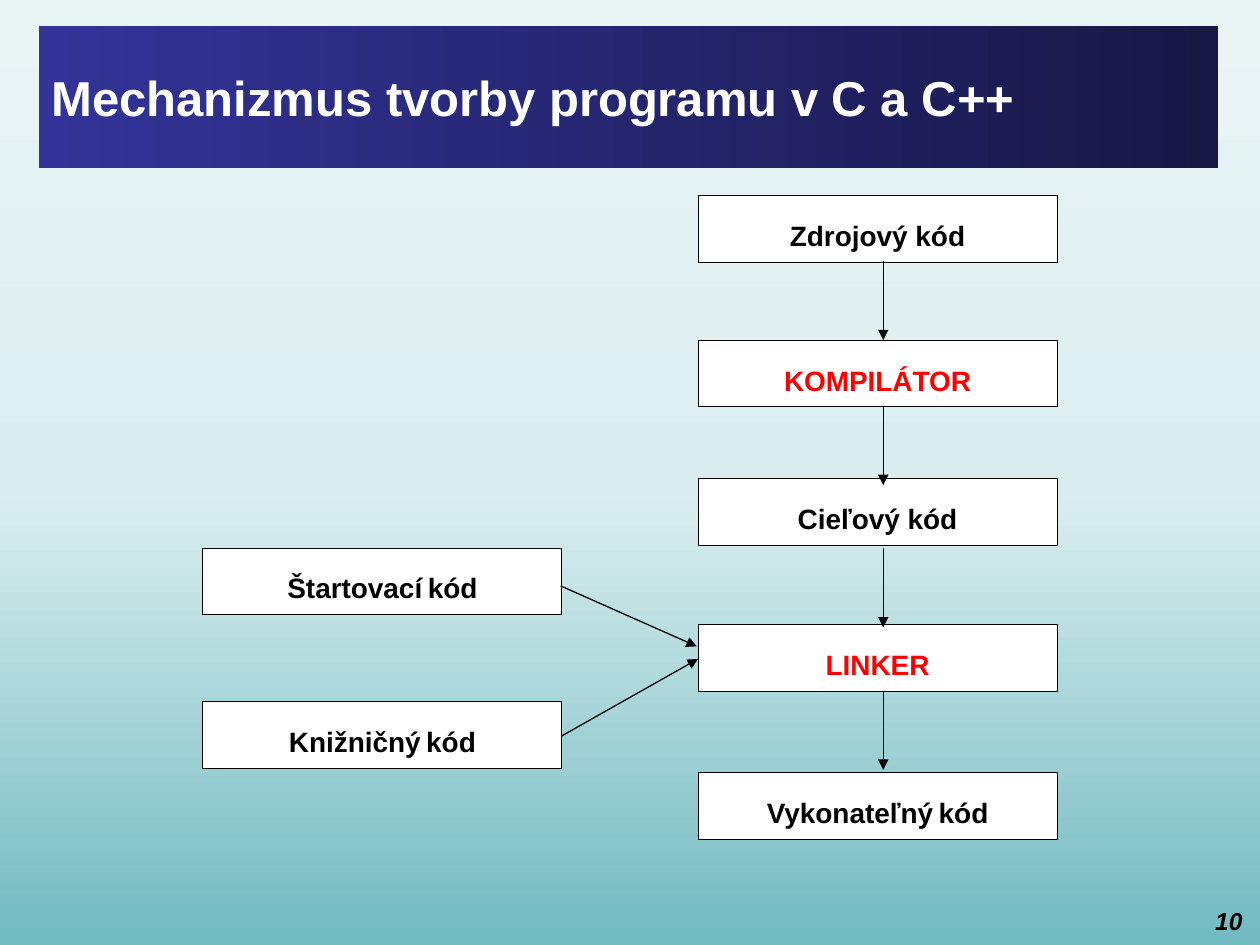
import copy

import pptx
import pptx.dml.color
import pptx.enum.dml
import pptx.enum.shapes
import pptx.enum.text
import pptx.oxml
import pptx.oxml.ns
import pptx.util
from pptx.dml.color import RGBColor
from pptx.util import Inches

WHITE = RGBColor(0xFF, 0xFF, 0xFF)
BLACK = RGBColor(0, 0, 0)
RED = RGBColor(0xFF, 0, 0)
NAVY = RGBColor(0x33, 0x33, 0x99)
DARK = RGBColor(0x17, 0x17, 0x46)
TEAL = RGBColor(0x71, 0xBA, 0xC1)
PALE = RGBColor(0xDB, 0xEE, 0xEF)
LIGHT = RGBColor(0xE9, 0xF4, 0xF5)

ALIGN = pptx.enum.text.PP_ALIGN
ANCHOR = pptx.enum.text.MSO_ANCHOR
WIDTH, HEIGHT = 2.85, 0.53
RIGHT, LEFT, AXIS = 5.54, 1.61, 7.01

BOXES = [
    ("Zdrojový kód", RIGHT, 1.55, BLACK, 16),
    ("KOMPILÁTOR", RIGHT, 2.7, RED, 16),
    ("Cieľový kód", RIGHT, 3.8, BLACK, 16),
    ("LINKER", RIGHT, 4.96, RED, 16),
    ("Vykonateľný kód", RIGHT, 6.13, BLACK, 11),
    ("Štartovací kód", LEFT, 4.35, BLACK, 11),
    ("Knižničný kód", LEFT, 5.57, BLACK, 11),
]
ARROWS = [
    (AXIS, 2.07, AXIS, 2.7),
    (AXIS, 3.23, AXIS, 3.85),
    (AXIS, 4.35, AXIS, 4.98),
    (AXIS, 5.49, AXIS, 6.11),
    (4.45, 4.65, 5.53, 5.13),
    (4.46, 5.84, 5.54, 5.23),
]


def put_text(shape, text, size=16, color=BLACK, align=ALIGN.LEFT,
             anchor=ANCHOR.TOP, italic=False, gap=None, line=None, after=0):
    """Write bold text in a shape; gap is the size of its spaces, if other."""
    frame = shape.text_frame
    frame.word_wrap = True
    frame.vertical_anchor = anchor
    para = frame.paragraphs[0]
    para.alignment = align
    para.line_spacing = line
    para.space_before = pptx.util.Pt(0)
    para.space_after = pptx.util.Pt(after)
    parts = text.partition(" ") if gap and gap != size else [text]
    for part in filter(None, parts):
        run = para.add_run()
        run.text = part
        font = run.font
        font.name = "Arial"
        font.size = pptx.util.Pt(gap if part == " " else size)
        font.bold, font.italic = True, italic
        font.color.rgb = color


def blend(fill, stops, angle):
    """Fill with a linear gradient of (place, colour) stops."""
    fill.gradient()
    fill.gradient_angle = angle
    first = fill.gradient_stops[0]._gs
    for _ in stops[2:]:
        first.addnext(copy.deepcopy(first))
    for stop, (place, color) in zip(fill.gradient_stops, stops):
        stop.position = place
        stop.color.rgb = color


def add_title(slide, text):
    """Format the title as a dark banner."""
    title = slide.shapes.title
    title.left, title.top = Inches(0.31), Inches(0.21)
    title.width, title.height = Inches(9.36), Inches(1.12)
    blend(title.fill, [(0, NAVY), (1, DARK)], 0)
    put_text(title, text, size=28, color=WHITE, anchor=ANCHOR.MIDDLE)


def add_box(slide, text, left, top, color, gap):
    """Add one outlined step of the flow."""
    box = slide.shapes.add_shape(
        pptx.enum.shapes.MSO_SHAPE.RECTANGLE,
        Inches(left), Inches(top), Inches(WIDTH), Inches(HEIGHT))
    box.shadow.inherit = False
    box.fill.solid()
    box.fill.fore_color.rgb = WHITE
    box.line.color.rgb = BLACK
    box.line.width = pptx.util.Pt(0.5)
    put_text(box, text, color=color, align=ALIGN.CENTER, gap=gap,
             line=1.5, after=10)


def add_arrow(slide, *ends):
    """Add a thin line with a triangle at its end."""
    arrow = slide.shapes.add_connector(
        pptx.enum.shapes.MSO_CONNECTOR.STRAIGHT, *map(Inches, ends))
    arrow.line.color.rgb = BLACK
    arrow.line.width = pptx.util.Pt(0.75)
    props = arrow.line._get_or_add_ln()
    tail = pptx.oxml.parse_xml(
        f'<a:tailEnd {pptx.oxml.ns.nsdecls("a")} type="triangle"/>')
    props.append(tail)
    props.addnext(pptx.oxml.parse_xml(
        f'<a:effectLst {pptx.oxml.ns.nsdecls("a")}/>'))


def add_number(slide, text):
    """Add the page number in the corner."""
    box = slide.shapes.add_textbox(
        Inches(9.43), Inches(7.14), Inches(0.53), Inches(0.31))
    put_text(box, text, size=14, align=ALIGN.RIGHT, italic=True)


def main():
    """Build the slide and save it."""
    deck = pptx.Presentation()
    deck.slide_width, deck.slide_height = Inches(10), Inches(7.5)
    slide = deck.slides.add_slide(deck.slide_layouts[5])
    blend(slide.background.fill,
          [(0, TEAL), (0.48, PALE), (1, LIGHT)], 90)
    add_title(slide, "Mechanizmus tvorby programu v C a C++")
    add_number(slide, "10")
    for box in BOXES:
        add_box(slide, *box)
    for arrow in ARROWS:
        add_arrow(slide, *arrow)
    deck.save("out.pptx")


if __name__ == "__main__":
    main()
